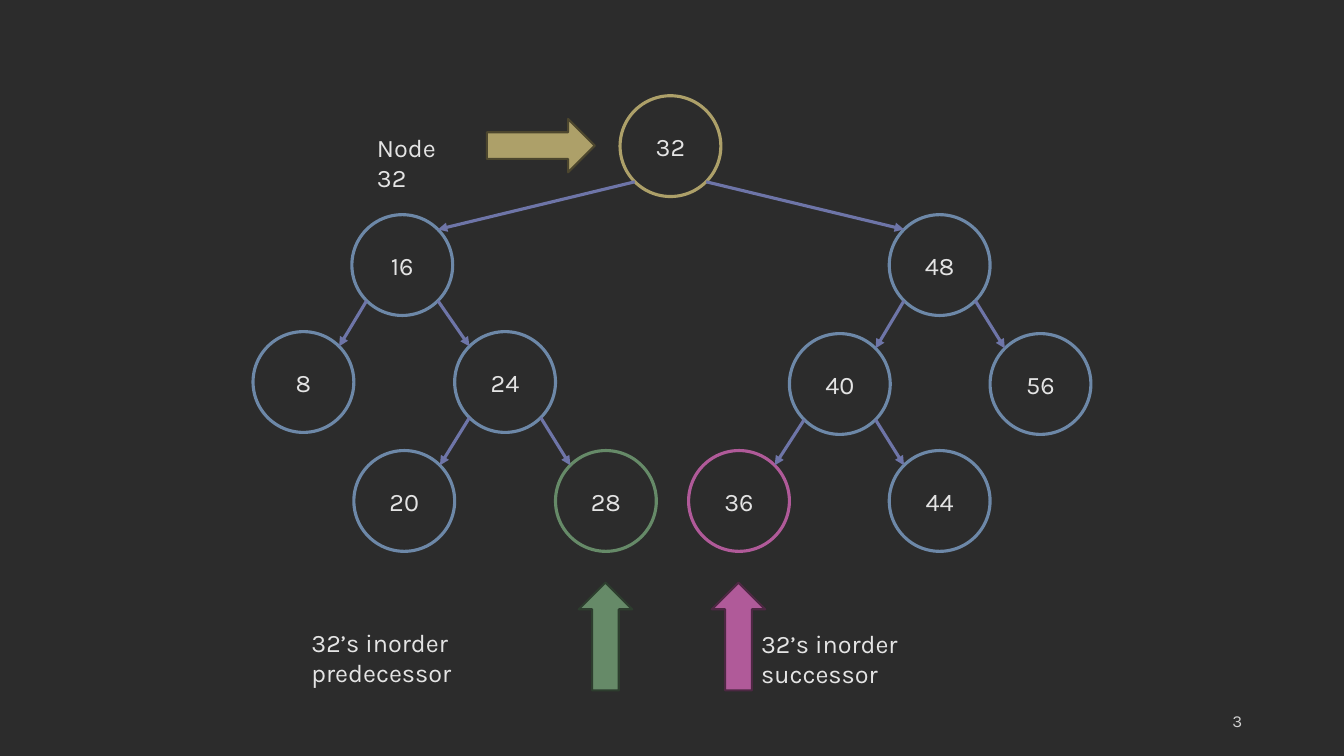
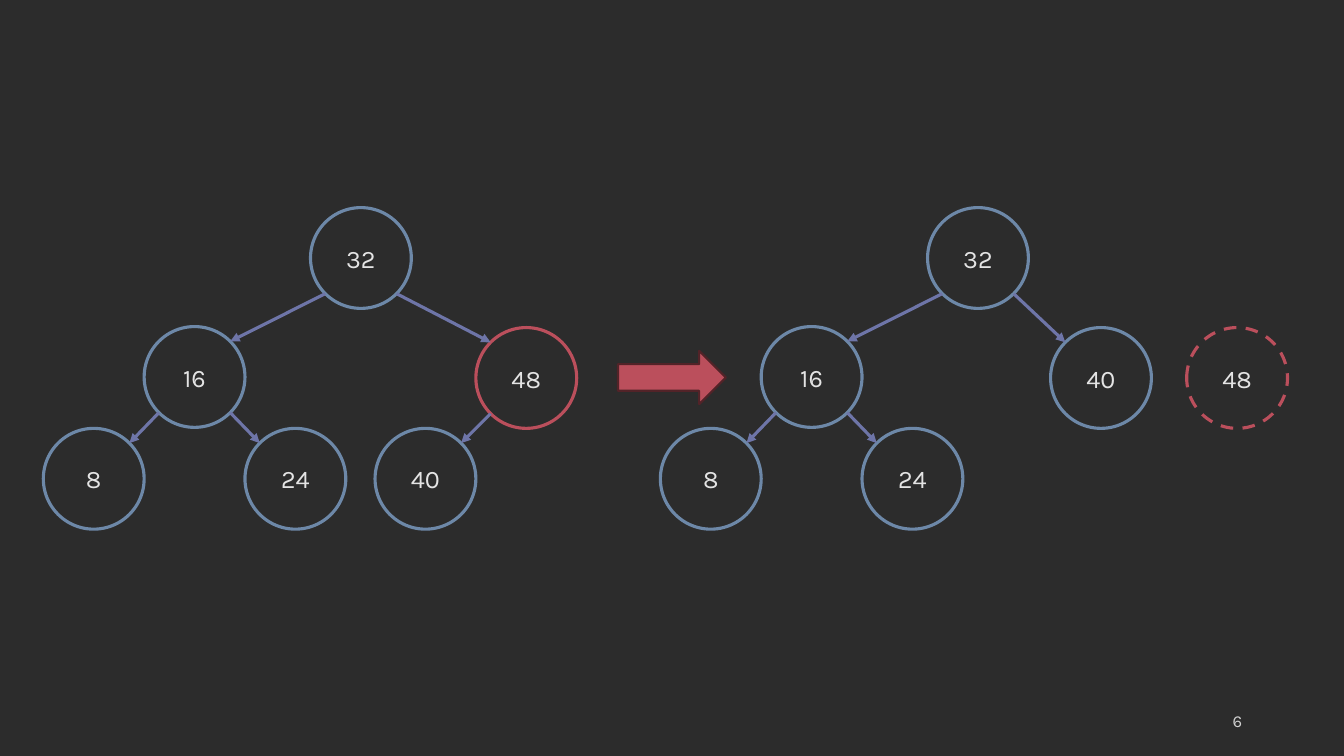
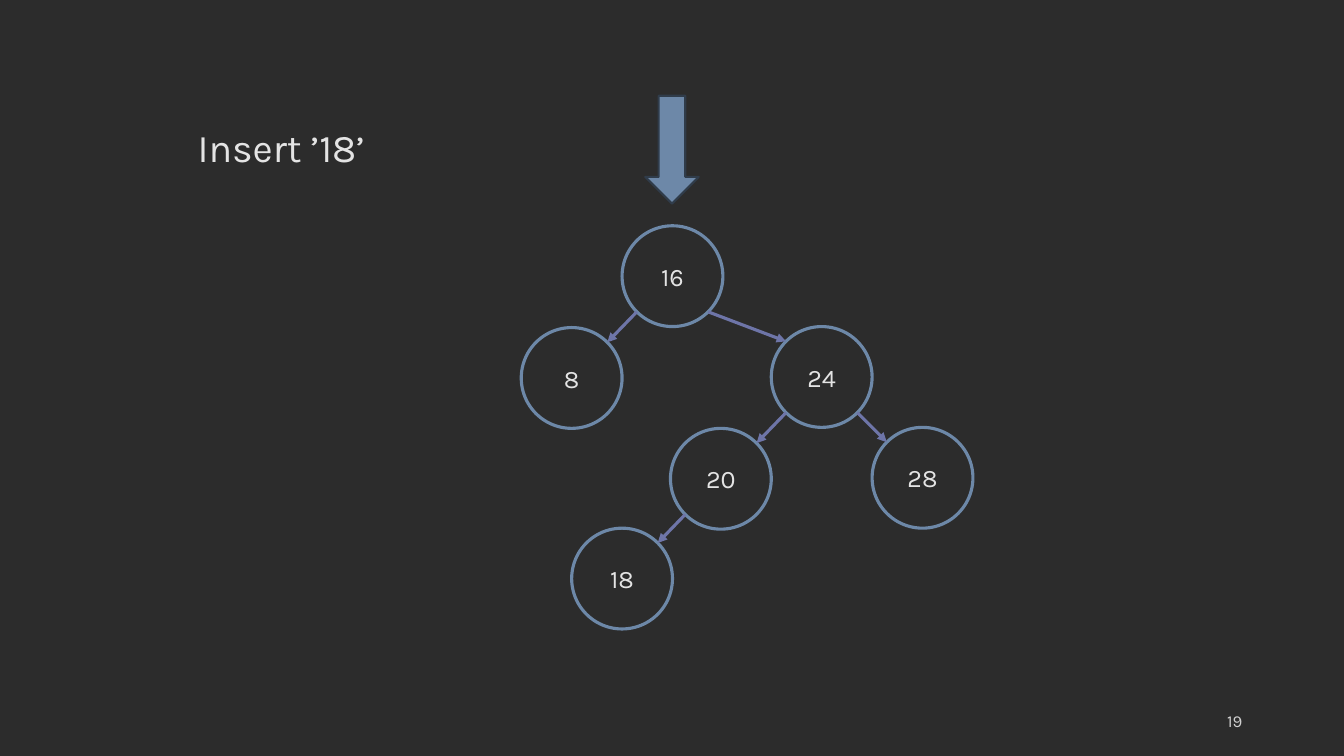
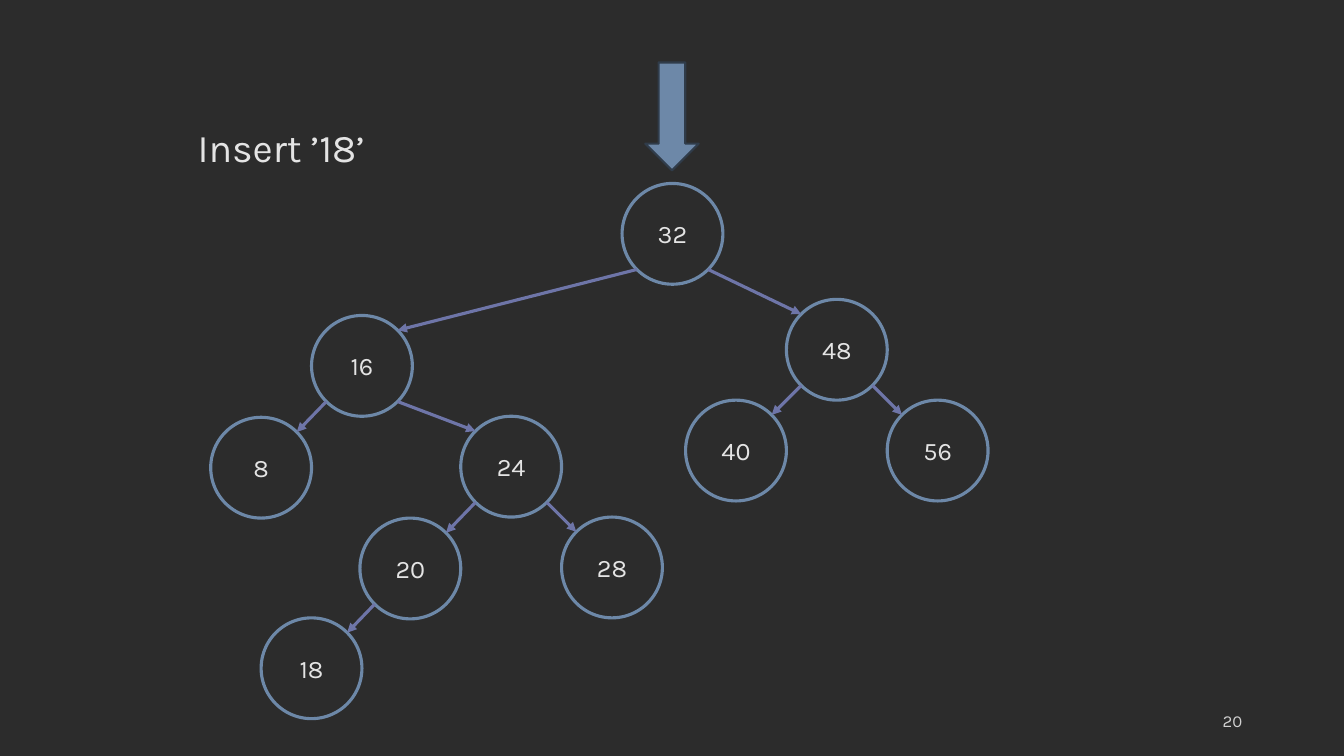
import math
from dataclasses import dataclass, replace

import lxml.etree
import pptx
import pptx.dml.color
import pptx.enum.dml
import pptx.enum.shapes
import pptx.enum.text
import pptx.oxml.ns
import pptx.shapes.base
import pptx.slide
import pptx.text.text
import pptx.util

Inches = pptx.util.Inches
Preset = pptx.enum.shapes.MSO_SHAPE
Align = pptx.enum.text.PP_ALIGN
Anchor = pptx.enum.text.MSO_ANCHOR

FONT = "Karla"
BACKGROUND = "2C2C2C"
TEXT = "E4E4E4"
MUTED = "D1D1D1"
BLUE = "6D88A8"
VIOLET = "6E75A8"
GOLD = "ADA069"
GREEN = "668A68"
PINK = "B05A99"
RED = "BB4F5C"

NODE_SIZE = 1.0
RIM_OFFSET = NODE_SIZE / 2 * math.sqrt(0.5)
ARROW_LENGTH, ARROW_WIDTH = 1.07, 0.53
OUTLINE_SHADE = 0.44
TITLE_ONLY_LAYOUT, BLANK_LAYOUT = 5, 6


@dataclass(frozen=True)
class Node:
    value: int
    left: float
    top: float
    parent: int | None = None
    line: str = BLUE
    dashed: bool = False


@dataclass(frozen=True)
class BlockArrow:
    preset: Preset
    left: float
    top: float
    fill: str


@dataclass(frozen=True)
class Label:
    text: str
    left: float
    top: float
    width: float


@dataclass(frozen=True)
class Page:
    number: int
    trees: tuple[tuple[Node, ...], ...]
    arrows: tuple[BlockArrow, ...]
    labels: tuple[Label, ...] = ()
    title: str = ""


def shifted(nodes: tuple[Node, ...], across: float, down: float) -> tuple[Node, ...]:
    return tuple(replace(node, left=node.left + across, top=node.top + down) for node in nodes)


NEIGHBOUR_TREE = (
    Node(32, 6.15, 0.95, line=GOLD),
    Node(16, 3.49, 2.13, 32),
    Node(48, 8.82, 2.13, 32),
    Node(8, 2.51, 3.29, 16),
    Node(24, 4.51, 3.29, 16),
    Node(40, 7.83, 3.31, 48),
    Node(56, 9.82, 3.31, 48),
    Node(20, 3.51, 4.47, 24),
    Node(28, 5.51, 4.47, 24, GREEN),
    Node(36, 6.83, 4.47, 40, PINK),
    Node(44, 8.82, 4.47, 40),
)
SHARED_BRANCH = (
    Node(32, 3.08, 2.06),
    Node(16, 1.43, 3.24, 32),
    Node(8, 0.43, 4.25, 16),
    Node(24, 2.43, 4.25, 16),
)
BEFORE_DELETE = SHARED_BRANCH + (Node(48, 4.72, 3.25, 32, RED), Node(40, 3.72, 4.25, 48))
AFTER_DELETE = shifted(SHARED_BRANCH, 6.12, 0) + (
    Node(40, 10.42, 3.25, 32),
    Node(48, 11.77, 3.25, line=RED, dashed=True),
)
INSERTED_TREE = (
    Node(16, 6.17, 2.24),
    Node(8, 5.17, 3.25, 16),
    Node(24, 7.65, 3.24, 16),
    Node(20, 6.65, 4.25, 24),
    Node(28, 8.65, 4.24, 24),
    Node(18, 5.67, 5.24, 20),
)
LEFT_SUBTREE = shifted(INSERTED_TREE, -3.08, 0.89)
JOINED_TREE = (
    Node(32, 6.17, 1.82),
    replace(LEFT_SUBTREE[0], parent=32),
    *LEFT_SUBTREE[1:],
    Node(48, 7.8, 2.97, 32),
    Node(40, 6.8, 3.97, 48),
    Node(56, 8.8, 3.97, 48),
)

PAGES = (
    Page(
        3,
        (NEIGHBOUR_TREE,),
        (
            BlockArrow(Preset.RIGHT_ARROW, 4.83, 1.18, GOLD),
            BlockArrow(Preset.UP_ARROW, 5.74, 5.78, GREEN),
            BlockArrow(Preset.UP_ARROW, 7.06, 5.78, PINK),
        ),
        (
            Label("Node 32", 3.64, 1.26, 1.12),
            Label("32’s inorder predecessor", 2.99, 6.17, 2.89),
            Label("32’s inorder successor", 7.45, 6.18, 2.71),
        ),
    ),
    Page(6, (BEFORE_DELETE, AFTER_DELETE), (BlockArrow(Preset.RIGHT_ARROW, 6.13, 3.48, RED),)),
    Page(
        19,
        (INSERTED_TREE,),
        (BlockArrow(Preset.DOWN_ARROW, 6.4, 0.95, BLUE),),
        title="Insert ’18’",
    ),
    Page(
        20,
        (JOINED_TREE,),
        (BlockArrow(Preset.DOWN_ARROW, 6.4, 0.62, BLUE),),
        title="Insert ’18’",
    ),
)


def rgb(colour: str) -> pptx.dml.color.RGBColor:
    return pptx.dml.color.RGBColor.from_string(colour)


def darker(colour: str) -> str:
    return "".join(f"{round(channel * OUTLINE_SHADE):02X}" for channel in bytes.fromhex(colour))


def write(
    frame: pptx.text.text.TextFrame,
    text: str,
    size: float = 18,
    colour: str = TEXT,
    align: Align = Align.LEFT,
    anchor: Anchor = Anchor.TOP,
) -> None:
    frame.word_wrap = True
    frame.vertical_anchor = anchor
    frame.text = text
    para = frame.paragraphs[0]
    para.alignment = align
    para.font.name = FONT
    para.font.size = pptx.util.Pt(size)
    para.font.color.rgb = rgb(colour)


def place(box: pptx.shapes.base.BaseShape, left: float, top: float, width: float, height: float) -> None:
    box.left, box.top = Inches(left), Inches(top)
    box.width, box.height = Inches(width), Inches(height)


def add_label(slide: pptx.slide.Slide, label: Label) -> None:
    box = slide.shapes.add_textbox(
        Inches(label.left), Inches(label.top), Inches(label.width), Inches(0.4)
    )
    write(box.text_frame, label.text)


def add_page_number(slide: pptx.slide.Slide, number: int) -> None:
    box = slide.shapes.add_textbox(Inches(9.42), Inches(6.95), Inches(3), Inches(0.4))
    write(box.text_frame, str(number), 12, MUTED, Align.RIGHT, Anchor.MIDDLE)


def add_title(slide: pptx.slide.Slide, text: str) -> None:
    title = slide.shapes.title
    place(title, 1.86, 1.17, 1.89, 0.57)
    title.text_frame.auto_size = pptx.enum.text.MSO_AUTO_SIZE.NONE
    write(title.text_frame, text, 28)


def add_block_arrow(slide: pptx.slide.Slide, arrow: BlockArrow) -> None:
    width, height = ARROW_WIDTH, ARROW_LENGTH
    if arrow.preset == Preset.RIGHT_ARROW:
        width, height = height, width
    shape = slide.shapes.add_shape(
        arrow.preset, Inches(arrow.left), Inches(arrow.top), Inches(width), Inches(height)
    )
    shape.shadow.inherit = False
    shape.fill.solid()
    shape.fill.fore_color.rgb = rgb(arrow.fill)
    shape.line.color.rgb = rgb(darker(arrow.fill))
    shape.line.width = pptx.util.Pt(1.5)


def add_node(slide: pptx.slide.Slide, node: Node) -> None:
    circle = slide.shapes.add_shape(
        Preset.OVAL, Inches(node.left), Inches(node.top), Inches(NODE_SIZE), Inches(NODE_SIZE)
    )
    circle.shadow.inherit = False
    circle.fill.background()
    circle.line.color.rgb = rgb(node.line)
    circle.line.width = pptx.util.Pt(2.25)
    if node.dashed:
        circle.line.dash_style = pptx.enum.dml.MSO_LINE.DASH
    frame = circle.text_frame
    frame.margin_left = frame.margin_right = frame.margin_top = frame.margin_bottom = 0
    write(frame, str(node.value), align=Align.CENTER, anchor=Anchor.MIDDLE)


def add_edge(slide: pptx.slide.Slide, parent: Node, child: Node) -> None:
    """Run an arrow between the 45-degree rim points that face each other."""
    side = -1 if child.value < parent.value else 1
    middle = NODE_SIZE / 2
    edge = slide.shapes.add_connector(
        pptx.enum.shapes.MSO_CONNECTOR.STRAIGHT,
        Inches(parent.left + middle + side * RIM_OFFSET),
        Inches(parent.top + middle + RIM_OFFSET),
        Inches(child.left + middle - side * RIM_OFFSET),
        Inches(child.top + middle - RIM_OFFSET),
    )
    edge.line.color.rgb = rgb(VIOLET)
    edge.line.width = pptx.util.Pt(2.25)
    qn = pptx.oxml.ns.qn
    lxml.etree.SubElement(edge.line._get_or_add_ln(), qn("a:tailEnd"), type="triangle")
    lxml.etree.SubElement(edge._element.spPr, qn("a:effectLst"))


def add_tree(slide: pptx.slide.Slide, nodes: tuple[Node, ...]) -> None:
    by_value = {node.value: node for node in nodes}
    for node in nodes:
        add_node(slide, node)
        if node.parent is not None:
            add_edge(slide, by_value[node.parent], node)


def add_page(deck: pptx.presentation.Presentation, page: Page) -> None:
    layout = TITLE_ONLY_LAYOUT if page.title else BLANK_LAYOUT
    slide = deck.slides.add_slide(deck.slide_layouts[layout])
    if page.title:
        add_title(slide, page.title)
    add_page_number(slide, page.number)
    for nodes in page.trees:
        add_tree(slide, nodes)
    for arrow in page.arrows:
        add_block_arrow(slide, arrow)
    for label in page.labels:
        add_label(slide, label)


def main() -> None:
    deck = pptx.Presentation()
    deck.slide_width, deck.slide_height = Inches(13.33), Inches(7.5)
    background = deck.slide_master.background.fill
    background.solid()
    background.fore_color.rgb = rgb(BACKGROUND)
    for page in PAGES:
        add_page(deck, page)
    deck.save("out.pptx")


if __name__ == "__main__":
    main()
